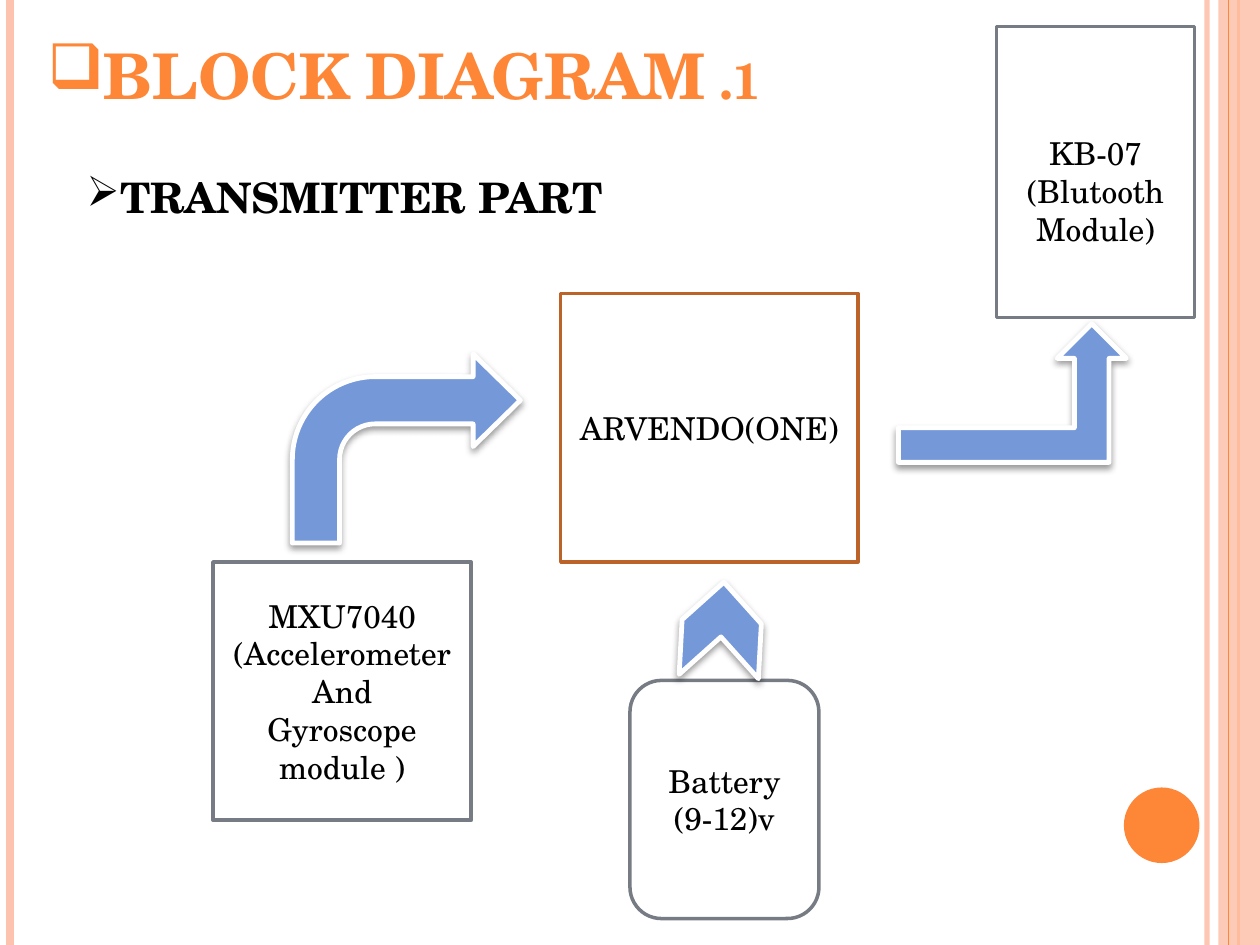
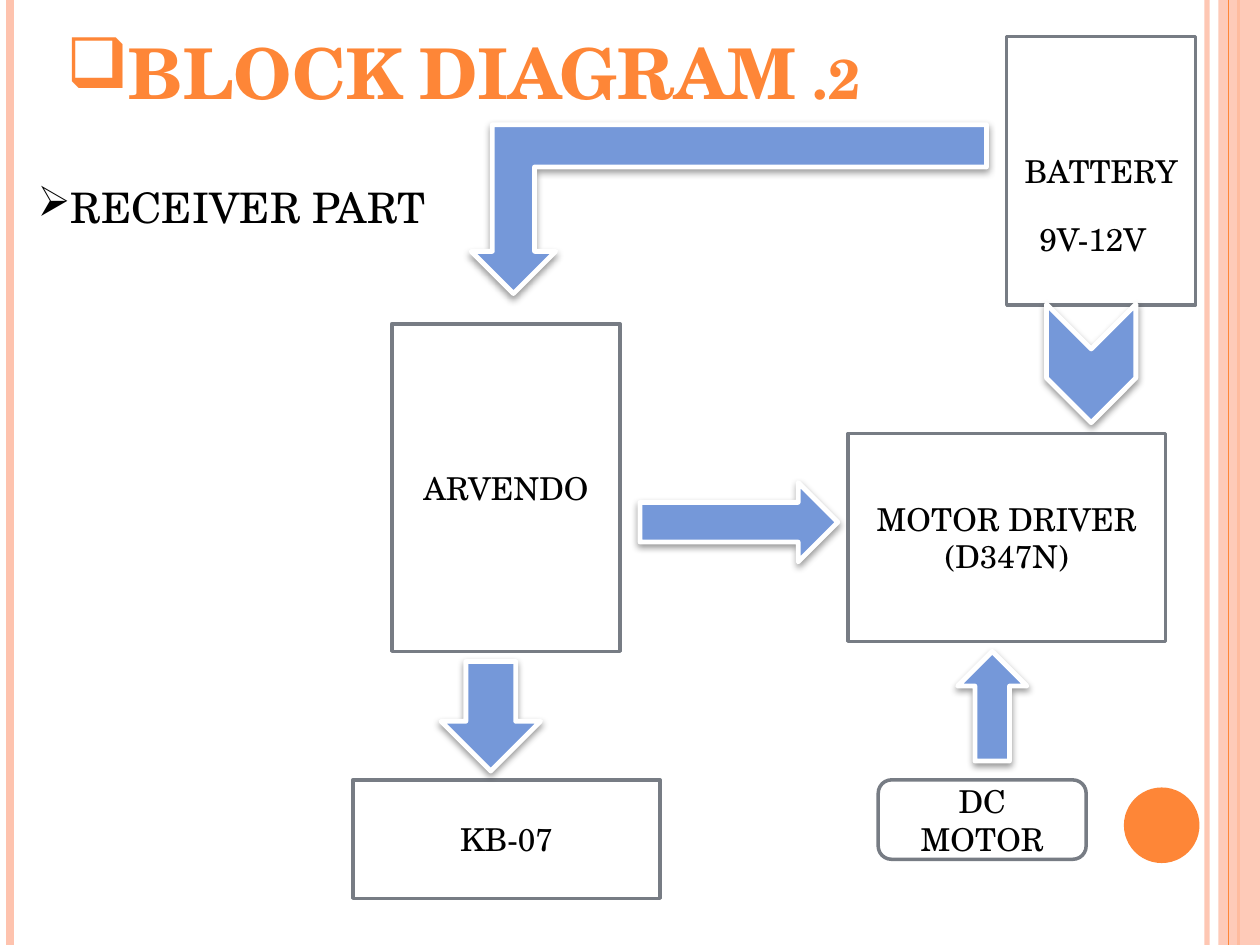
from lxml.etree import SubElement
from pptx import Presentation
from pptx.dml.color import RGBColor
from pptx.enum.shapes import MSO_CONNECTOR, MSO_SHAPE
from pptx.enum.text import MSO_ANCHOR, PP_ALIGN
from pptx.oxml.ns import qn
from pptx.util import Inches, Pt

COLORS = {
    "orange": "FE8637",
    "peach": "FEC3AE",
    "arrow": "7598D9",
    "outline": "777C84",
    "main_outline": "BC6329",
    "white": "FFFFFF",
    "black": "000000",
}
FONT = "TeX Gyre Schola"
SLIDE_WIDTH, SLIDE_HEIGHT = 10, 7.5
BODY_FORMAT = {"name": FONT, "size": Pt(18), "bold": False}
HEADING_FORMAT = {"name": FONT, "size": Pt(24), "bold": False}


def rgb(color):
    return RGBColor.from_string(COLORS[color])


def set_alpha(fill_format, percent):
    """Make a solid fill, of a shape or of a line, partly transparent."""
    color = fill_format._xPr.find(qn("a:solidFill"))[0]
    SubElement(color, qn("a:alpha"), val=str(percent * 1000))


def add_stripe(slide, x, weight, color, opacity=100):
    stripe = slide.shapes.add_connector(
        MSO_CONNECTOR.STRAIGHT, Inches(x), 0, Inches(x), Inches(SLIDE_HEIGHT))
    stripe.line.color.rgb = rgb(color)
    stripe.line.width = Pt(weight)
    if opacity < 100:
        set_alpha(stripe.line.fill, opacity)
    SubElement(stripe._element.spPr, qn("a:effectLst"))


def add_outline_shape(slide, kind, place, fill, line=None, weight=2):
    shape = slide.shapes.add_shape(kind, *map(Inches, place))
    shape.shadow.inherit = False
    shape.fill.solid()
    shape.fill.fore_color.rgb = rgb(fill)
    if line:
        shape.line.color.rgb = rgb(line)
        shape.line.width = Pt(weight)
    else:
        shape.line.fill.background()
    return shape


def write_lines(frame, lines, font_format, color="black", align=PP_ALIGN.LEFT):
    for index, line in enumerate(lines):
        paragraph = frame.paragraphs[0] if index == 0 else frame.add_paragraph()
        paragraph.alignment = align
        run = paragraph.add_run()
        run.text = line
        for attribute, value in font_format.items():
            setattr(run.font, attribute, value)
        run.font.color.rgb = rgb(color)


def add_label(slide, place, text, font_format, color="black", bullet=None,
              anchor=MSO_ANCHOR.TOP, wrap=True):
    frame = slide.shapes.add_textbox(*map(Inches, place)).text_frame
    frame.word_wrap = wrap
    frame.vertical_anchor = anchor
    write_lines(frame, [text], font_format, color)
    if bullet:
        properties = frame.paragraphs[0]._p.get_or_add_pPr()
        properties.set("marL", "0")
        properties.set("indent", "0")
        SubElement(properties, qn("a:buChar"), char=bullet)
    return frame


def add_title(slide, place, text, size):
    title_format = {"name": FONT, "size": Pt(size), "bold": True}
    frame = add_label(slide, place, text, title_format, "orange", "❑",
                      MSO_ANCHOR.BOTTOM)
    run = frame.paragraphs[0].runs[0]
    run._r.get_or_add_rPr().set("cap", "small")


def add_block(slide, place, lines, kind=MSO_SHAPE.RECTANGLE, line="outline",
              top_inset=0.05):
    block = add_outline_shape(slide, kind, place, "white", line)
    frame = block.text_frame
    frame.word_wrap = True
    frame.vertical_anchor = MSO_ANCHOR.MIDDLE
    frame.margin_top = Inches(top_inset)
    write_lines(frame, lines, BODY_FORMAT, align=PP_ALIGN.CENTER)


def add_flow_arrow(slide, kind, place, rotation=0, adjustments=()):
    arrow = add_outline_shape(slide, kind, place, "arrow", "white", 2.75)
    arrow.rotation = rotation
    for index, value in enumerate(adjustments):
        arrow.adjustments[index] = value
    effects = arrow._element.spPr.find(qn("a:effectLst"))
    shadow = SubElement(effects, qn("a:outerShdw"), blurRad=str(Pt(4)),
                        dist=str(Pt(2)), dir="5400000", rotWithShape="0")
    shade = SubElement(shadow, qn("a:srgbClr"), val=COLORS["black"])
    SubElement(shade, qn("a:alpha"), val="40000")


def add_frame(slide):
    """Draw the side stripes, right band and dot that all slides share."""
    add_stripe(slide, 9.58, 3, "peach", 93)
    add_stripe(slide, 0.08, 4.5, "peach")
    add_stripe(slide, 9.83, 1.5, "orange")
    band = add_outline_shape(slide, MSO_SHAPE.RECTANGLE,
                             (9.67, 0, SLIDE_WIDTH - 9.67, SLIDE_HEIGHT), "peach")
    set_alpha(band.fill, 87)
    add_stripe(slide, 9.75, 0.75, "orange")
    add_outline_shape(slide, MSO_SHAPE.OVAL, (8.92, 6.25, 0.6, 0.6), "orange")


def add_transmitter(slide):
    add_title(slide, (0.28, 0.21, 8.17, 0.73), "BLOCK DIAGRAM .1", 36)
    add_block(slide, (7.91, 0.21, 1.57, 2.31),
              ["KB-07", "(Blutooth", "Module)"], top_inset=0.35)
    add_block(slide, (1.69, 4.46, 2.05, 2.05),
              ["MXU7040", "(Accelerometer", "And", "Gyroscope", "module )"])
    add_flow_arrow(slide, MSO_SHAPE.BENT_UP_ARROW, (7.13, 2.57, 1.81, 1.1))
    add_flow_arrow(slide, MSO_SHAPE.BENT_ARROW, (2.32, 2.81, 1.81, 1.5),
                   adjustments=(0.25, 0.245, 0.25, 0.438))
    add_block(slide, (5, 5.4, 1.5, 1.89), ["Battery", "(9-12)v"],
              MSO_SHAPE.ROUNDED_RECTANGLE)
    add_flow_arrow(slide, MSO_SHAPE.CHEVRON, (5.35, 4.68, 0.75, 0.63), 273.1)
    add_label(slide, (0.59, 1.31, 4.8, 0.5), "TRANSMITTER PART",
              {**HEADING_FORMAT, "bold": True}, bullet="➢")
    add_block(slide, (4.45, 2.33, 2.36, 2.13), ["ARVENDO(ONE)"],
              line="main_outline")


def add_receiver(slide):
    add_title(slide, (0.43, 0, 8.17, 0.95), "BLOCK DIAGRAM .2", 40)
    add_block(slide, (3.11, 2.57, 1.81, 2.6), ["ARVENDO"])
    add_flow_arrow(slide, MSO_SHAPE.RIGHT_ARROW, (5.08, 3.83, 1.57, 0.63))
    add_block(slide, (6.73, 3.44, 2.52, 1.65), ["MOTOR DRIVER", "(D347N)"])
    add_block(slide, (2.8, 6.19, 2.44, 0.94), ["KB-07"])
    add_flow_arrow(slide, MSO_SHAPE.DOWN_ARROW, (3.5, 5.25, 0.79, 0.87))
    add_block(slide, (6.97, 6.19, 1.65, 0.63), ["DC MOTOR"],
              MSO_SHAPE.ROUNDED_RECTANGLE)
    add_flow_arrow(slide, MSO_SHAPE.UP_ARROW, (7.6, 5.17, 0.55, 0.87))
    add_block(slide, (7.99, 0.29, 1.5, 2.13), ["BATTERY"])
    add_label(slide, (8.15, 1.7, 1.18, 0.4), "9V-12V", BODY_FORMAT)
    add_flow_arrow(slide, MSO_SHAPE.CHEVRON, (8.19, 2.53, 0.94, 0.71), 90)
    add_label(slide, (0.2, 1.39, 3.34, 0.5), "RECEIVER PART", HEADING_FORMAT,
              bullet="➢", wrap=False)
    add_flow_arrow(slide, MSO_SHAPE.BENT_UP_ARROW, (3.74, 0.99, 4.09, 1.34), 180)


def main():
    presentation = Presentation()
    presentation.slide_width = Inches(SLIDE_WIDTH)
    presentation.slide_height = Inches(SLIDE_HEIGHT)
    blank = presentation.slide_layouts[6]
    for add_content in (add_transmitter, add_receiver):
        slide = presentation.slides.add_slide(blank)
        add_frame(slide)
        add_content(slide)
    presentation.save("out.pptx")


if __name__ == "__main__":
    main()
